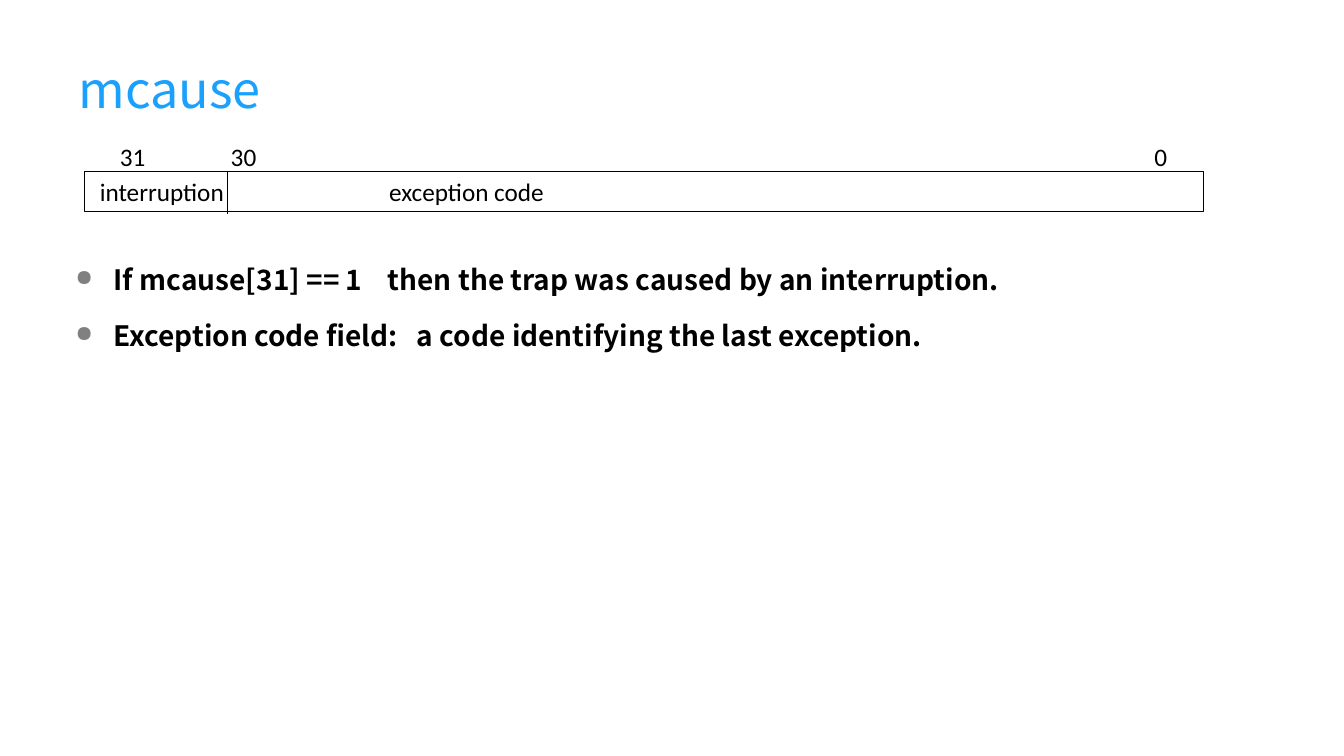
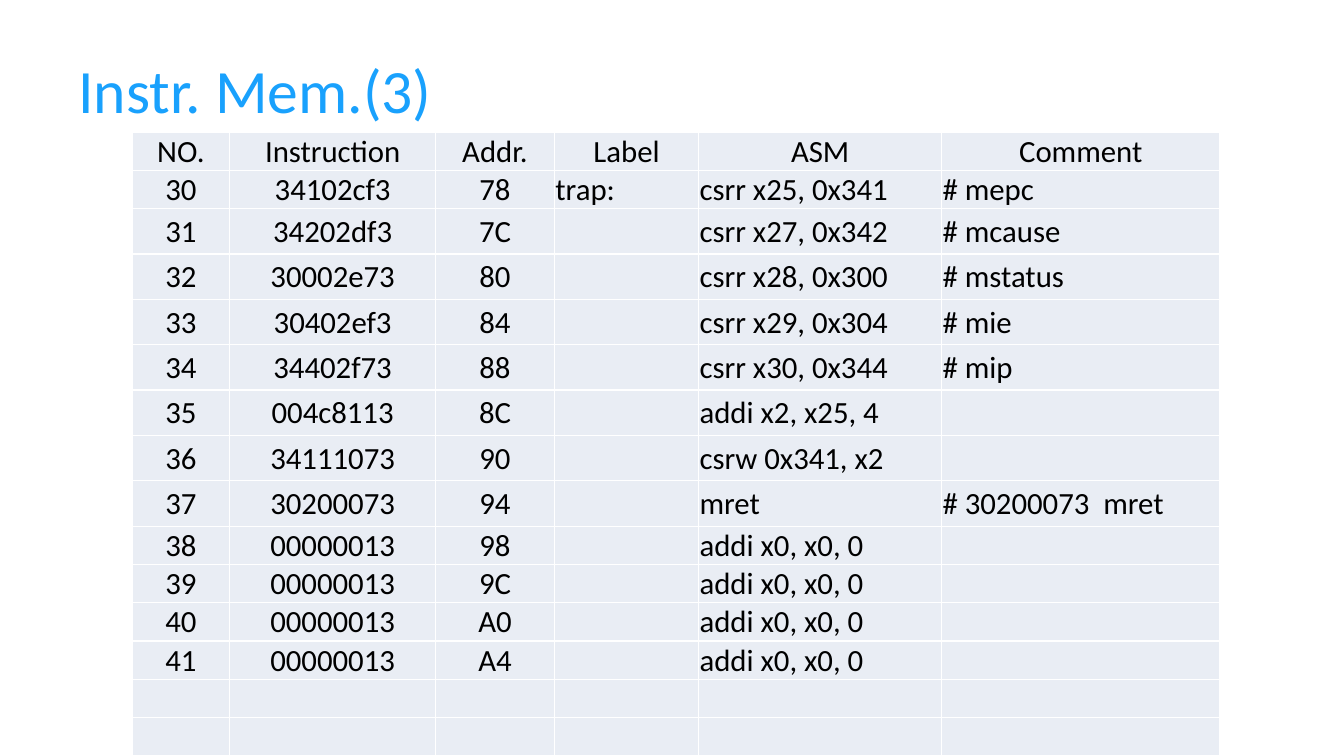
from lxml.etree import SubElement
from pptx import Presentation
from pptx.dml.color import RGBColor
from pptx.enum.shapes import MSO_CONNECTOR, MSO_SHAPE
from pptx.enum.text import MSO_ANCHOR, PP_ALIGN
from pptx.oxml.ns import qn
from pptx.util import Pt

EMU_PER_PX = 9144
COLORS = {"title": "19A1FD", "text": "000000", "bullet": "808080",
          "cell": "E9EDF4", "border": "FFFFFF"}
SANS = "Noto Sans CJK SC"
CALIBRI = "Calibri"
TITLE_BOX = (68, 36, 1022, 104)
REGISTER_BOX = (84, 135, 1110, 75)
BULLET_BOX = (65, 239, 1200, 389)
TABLE_ORIGIN = (131, 131)
COLUMN_WIDTHS = (97, 204, 118, 143, 241, 276)
CENTERED_COLUMNS = 3
ROW_HEIGHT, TALL_ROW_HEIGHT = 38, 45
TALL_ROWS = range(2, 9)
EMPTY_ROWS = 2

HEADERS = ("NO.", "Instruction", "Addr.", "Label", "ASM", "Comment")
FIRST_NUMBER = 30
NO_OPERATION = ("00000013", "", "addi x0, x0, 0", "")
INSTRUCTIONS = [
    ("34102cf3", "trap:", "csrr x25, 0x341", "# mepc"),
    ("34202df3", "", "csrr x27, 0x342", "# mcause"),
    ("30002e73", "", "csrr x28, 0x300", "# mstatus"),
    ("30402ef3", "", "csrr x29, 0x304", "# mie"),
    ("34402f73", "", "csrr x30, 0x344", "# mip"),
    ("004c8113", "", "addi x2, x25, 4", ""),
    ("34111073", "", "csrw 0x341, x2", ""),
    ("30200073", "", "mret", "# 30200073  mret"),
] + [NO_OPERATION] * 4
BULLETS = (
    "If mcause[31] == 1    then the trap was caused by an interruption.",
    "Exception code field:   a code identifying the last exception.",
)


def px(length):
    return length * EMU_PER_PX


def box_emu(box):
    return [px(length) for length in box]


def color(name):
    return RGBColor.from_string(COLORS[name])


def set_values(target, **values):
    for name, value in values.items():
        setattr(target, name, value)


def write(paragraph, text, size, font_name, color_name="text", bold=False):
    run = paragraph.add_run()
    run.text = text
    set_values(run.font, size=Pt(size), name=font_name, bold=bold)
    run.font.color.rgb = color(color_name)


def add_text_box(slide, box, anchor=MSO_ANCHOR.TOP):
    frame = slide.shapes.add_textbox(*box_emu(box)).text_frame
    set_values(frame, word_wrap=True, vertical_anchor=anchor)
    return frame


def add_title(slide, text, size, font_name):
    frame = add_text_box(slide, TITLE_BOX, MSO_ANCHOR.MIDDLE)
    write(frame.paragraphs[0], text, size, font_name, "title")


def set_tabs(paragraph, positions):
    tab_list = SubElement(paragraph._p.get_or_add_pPr(), qn("a:tabLst"))
    for position in positions:
        SubElement(tab_list, qn("a:tab"), pos=str(px(position)), algn="l")


def add_register(slide, box):
    left, top, width, height = box
    field_top, field_height, divider = top + 35, 40, left + 142

    register = slide.shapes.add_shape(
        MSO_SHAPE.RECTANGLE, *box_emu((left, field_top, width, field_height)))
    register.shadow.inherit = False
    register.fill.background()
    fields = register.text_frame
    set_values(fields, word_wrap=True, vertical_anchor=MSO_ANCHOR.MIDDLE,
               margin_left=px(15))

    line = slide.shapes.add_connector(
        MSO_CONNECTOR.STRAIGHT,
        *box_emu((divider, field_top, divider, field_top + 42)))
    SubElement(line._element.spPr, qn("a:effectLst"))
    for outlined in (register, line):
        outlined.line.color.rgb = color("text")
        outlined.line.width = Pt(0.75)

    bits = add_text_box(slide, (left + 25, top, width - 25, 40))
    for frame, text, tabs in (
        (fields, "interruption\texception code", (287,)),
        (bits, "31\t30\t0", (110, 1026)),
    ):
        paragraph = frame.paragraphs[0]
        paragraph.alignment = PP_ALIGN.LEFT
        set_tabs(paragraph, tabs)
        write(paragraph, text, 18, CALIBRI)


def add_bullets(slide, box, lines):
    frame = add_text_box(slide, box)
    for index, text in enumerate(lines):
        paragraph = frame.add_paragraph() if index else frame.paragraphs[0]
        set_values(paragraph, line_spacing=1.5, space_before=Pt(4))
        properties = paragraph._p.get_or_add_pPr()
        properties.set("marL", str(px(38)))
        properties.set("indent", str(px(-38)))
        bullet_color = SubElement(properties, qn("a:buClr"))
        SubElement(bullet_color, qn("a:srgbClr"), val=COLORS["bullet"])
        SubElement(properties, qn("a:buSzPct"), val="80000")
        SubElement(properties, qn("a:buChar"), char="●")
        write(paragraph, text, 20, SANS, bold=True)


def format_cell(cell):
    set_values(cell, margin_left=px(1), margin_right=px(1), margin_top=px(1),
               margin_bottom=0, vertical_anchor=MSO_ANCHOR.MIDDLE)
    properties = cell._tc.get_or_add_tcPr()
    for side in ("L", "R", "T", "B"):
        border = SubElement(properties, qn(f"a:ln{side}"), w=str(Pt(1)))
        border_fill = SubElement(border, qn("a:solidFill"))
        SubElement(border_fill, qn("a:srgbClr"), val=COLORS["border"])
    cell.fill.solid()
    cell.fill.fore_color.rgb = color("cell")


def add_instruction_table(slide, origin):
    rows = [HEADERS]
    for number, (code, *details) in enumerate(INSTRUCTIONS, FIRST_NUMBER):
        rows.append((str(number), code, f"{number * 4:X}", *details))
    rows += [("",) * len(HEADERS)] * EMPTY_ROWS
    heights = [TALL_ROW_HEIGHT if index in TALL_ROWS else ROW_HEIGHT
               for index in range(len(rows))]

    table = slide.shapes.add_table(
        len(rows), len(HEADERS),
        *box_emu((*origin, sum(COLUMN_WIDTHS), sum(heights)))).table
    set_values(table, first_row=False, horz_banding=False)
    for column, width in zip(table.columns, COLUMN_WIDTHS):
        column.width = px(width)
    for row_index, (row, height) in enumerate(zip(rows, heights)):
        table.rows[row_index].height = px(height)
        for column_index, text in enumerate(row):
            cell = table.cell(row_index, column_index)
            format_cell(cell)
            if text:
                paragraph = cell.text_frame.paragraphs[0]
                centered = row_index == 0 or column_index < CENTERED_COLUMNS
                paragraph.alignment = PP_ALIGN.CENTER if centered else PP_ALIGN.LEFT
                write(paragraph, text, 22, CALIBRI)


def build_register_slide(slide):
    add_title(slide, "mcause", 36, SANS)
    add_bullets(slide, BULLET_BOX, BULLETS)
    add_register(slide, REGISTER_BOX)


def build_memory_slide(slide):
    add_title(slide, "Instr. Mem.(3)", 44, CALIBRI)
    add_instruction_table(slide, TABLE_ORIGIN)


def main():
    presentation = Presentation()
    set_values(presentation, slide_width=px(1333), slide_height=px(750))
    blank_layout = presentation.slide_layouts[6]
    for build in (build_register_slide, build_memory_slide):
        build(presentation.slides.add_slide(blank_layout))
    presentation.save("out.pptx")


if __name__ == "__main__":
    main()
